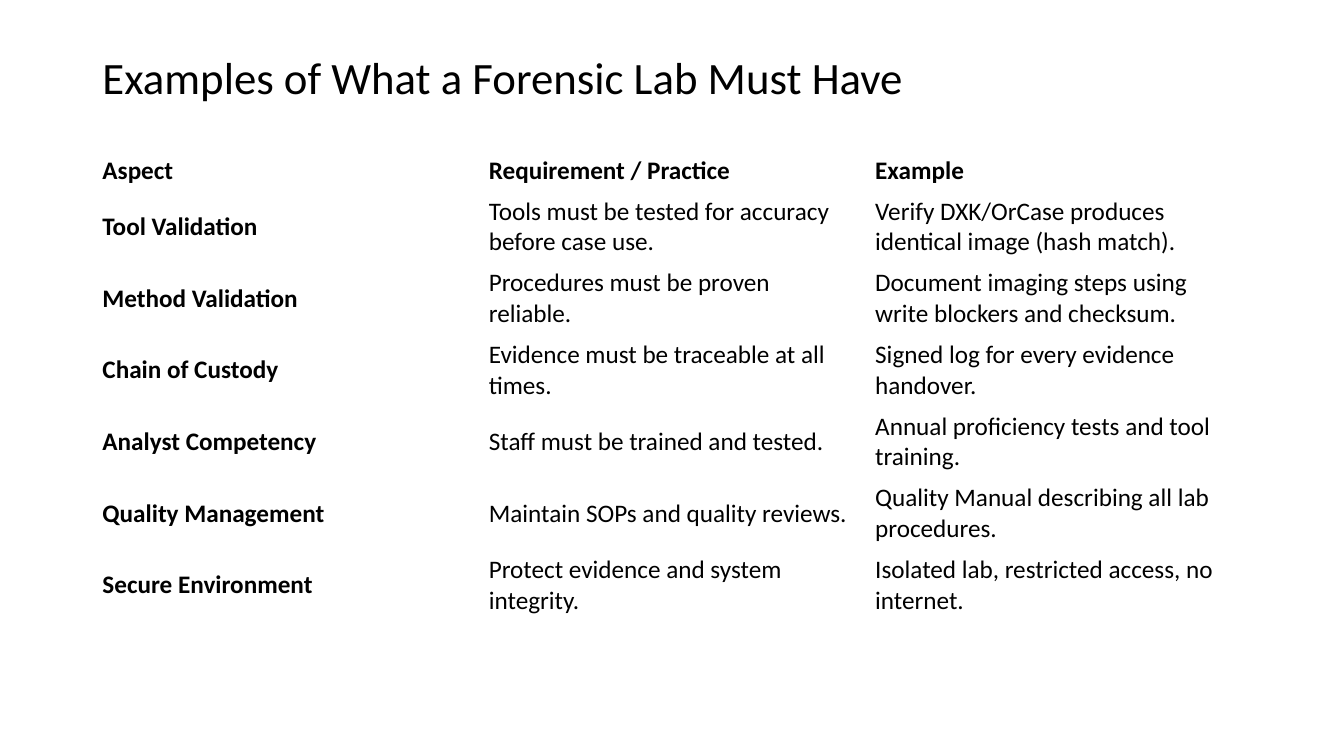
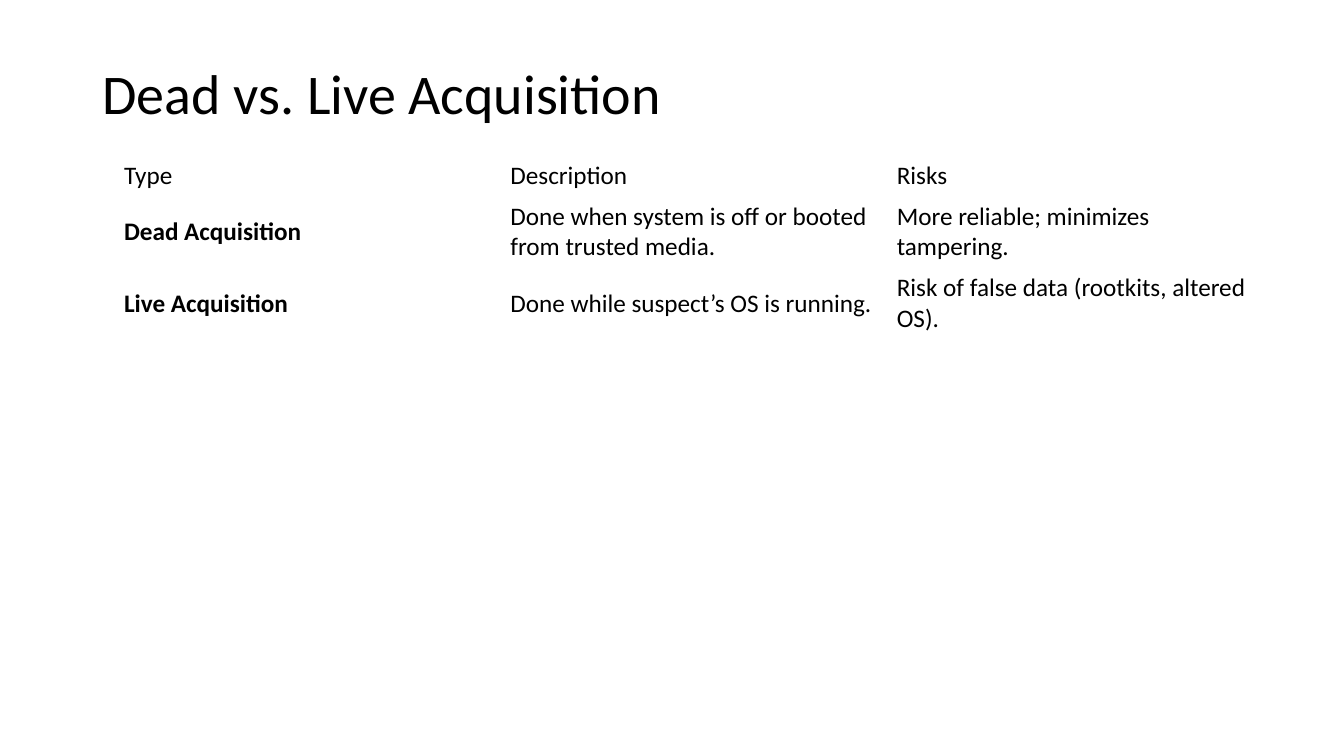
from pptx import Presentation
from pptx.dml.color import RGBColor
from pptx.enum import text
from pptx.util import Pt

COLORS = {"ink": "000000", "paper": "FFFFFF"}
FONT = "Calibri"
BODY_SIZE = 18
COLUMN_WIDTH = 276
HEADER_HEIGHT = 29.2
ROW_HEIGHT = 51.2

LAB_REQUIREMENTS = [
    ("Aspect", "Requirement / Practice", "Example"),
    ("Tool Validation", "Tools must be tested for accuracy before case use.",
     "Verify DXK/OrCase produces identical image (hash match)."),
    ("Method Validation", "Procedures must be proven reliable.",
     "Document imaging steps using write blockers and checksum."),
    ("Chain of Custody", "Evidence must be traceable at all times.",
     "Signed log for every evidence handover."),
    ("Analyst Competency", "Staff must be trained and tested.",
     "Annual proficiency tests and tool training."),
    ("Quality Management", "Maintain SOPs and quality reviews.",
     "Quality Manual describing all lab procedures."),
    ("Secure Environment", "Protect evidence and system integrity.",
     "Isolated lab, restricted access, no internet."),
]

ACQUISITION_TYPES = [
    ("Type", "Description", "Risks"),
    ("Dead Acquisition", "Done when system is off or booted from trusted media.",
     "More reliable; minimizes tampering."),
    ("Live Acquisition", "Done while suspect’s OS is running.",
     "Risk of false data (rootkits, altered OS)."),
]


def apply_format(target, values):
    for attribute, value in values.items():
        setattr(target, attribute, value)


def write_text(frame, wording, size, bold=False):
    paragraph = frame.paragraphs[0]
    paragraph.alignment = text.PP_ALIGN.LEFT
    run = paragraph.add_run()
    run.text = wording
    apply_format(run.font, {"name": FONT, "size": Pt(size), "bold": bold})
    run.font.color.rgb = RGBColor.from_string(COLORS["ink"])
    return paragraph


def add_titled_slide(deck, wording, box, size, anchor):
    slide = deck.slides.add_slide(deck.slide_layouts[5])
    fill = slide.background.fill
    fill.solid()
    fill.fore_color.rgb = RGBColor.from_string(COLORS["paper"])
    title = slide.shapes.title
    apply_format(title, dict(zip(("left", "top", "width", "height"), map(Pt, box))))
    apply_format(title.text_frame, {
        "word_wrap": True,
        "auto_size": text.MSO_AUTO_SIZE.NONE,
        "vertical_anchor": anchor,
    })
    write_text(title.text_frame, wording, size).line_spacing = 0.9
    return slide


def add_plain_table(slide, rows, left, top, bold_header):
    columns = len(rows[0])
    height = HEADER_HEIGHT + ROW_HEIGHT * (len(rows) - 1)
    table = slide.shapes.add_table(
        len(rows), columns, Pt(left), Pt(top), Pt(COLUMN_WIDTH * columns), Pt(height)
    ).table
    apply_format(table, {"first_row": False, "horz_banding": False})
    for column in table.columns:
        column.width = Pt(COLUMN_WIDTH)
    for row_index, wordings in enumerate(rows):
        is_header = row_index == 0
        table.rows[row_index].height = Pt(HEADER_HEIGHT if is_header else ROW_HEIGHT)
        for column_index, wording in enumerate(wordings):
            cell = table.cell(row_index, column_index)
            cell.fill.background()
            cell.vertical_anchor = text.MSO_ANCHOR.MIDDLE
            bold = bold_header if is_header else column_index == 0
            write_text(cell.text_frame, wording, BODY_SIZE, bold)


def main():
    deck = Presentation()
    apply_format(deck, {"slide_width": Pt(960), "slide_height": Pt(540)})

    lab = add_titled_slide(deck, "Examples of What a Forensic Lab Must Have",
                           (66, 36, 724, 42), 32, text.MSO_ANCHOR.BOTTOM)
    add_plain_table(lab, LAB_REQUIREMENTS, 66, 107.3, bold_header=True)

    acquisition = add_titled_slide(deck, "Dead vs. Live Acquisition",
                                   (66, 26.6, 827, 85), 40, text.MSO_ANCHOR.MIDDLE)
    add_plain_table(acquisition, ACQUISITION_TYPES, 81.4, 110.9, bold_header=False)

    deck.save("out.pptx")


if __name__ == "__main__":
    main()
